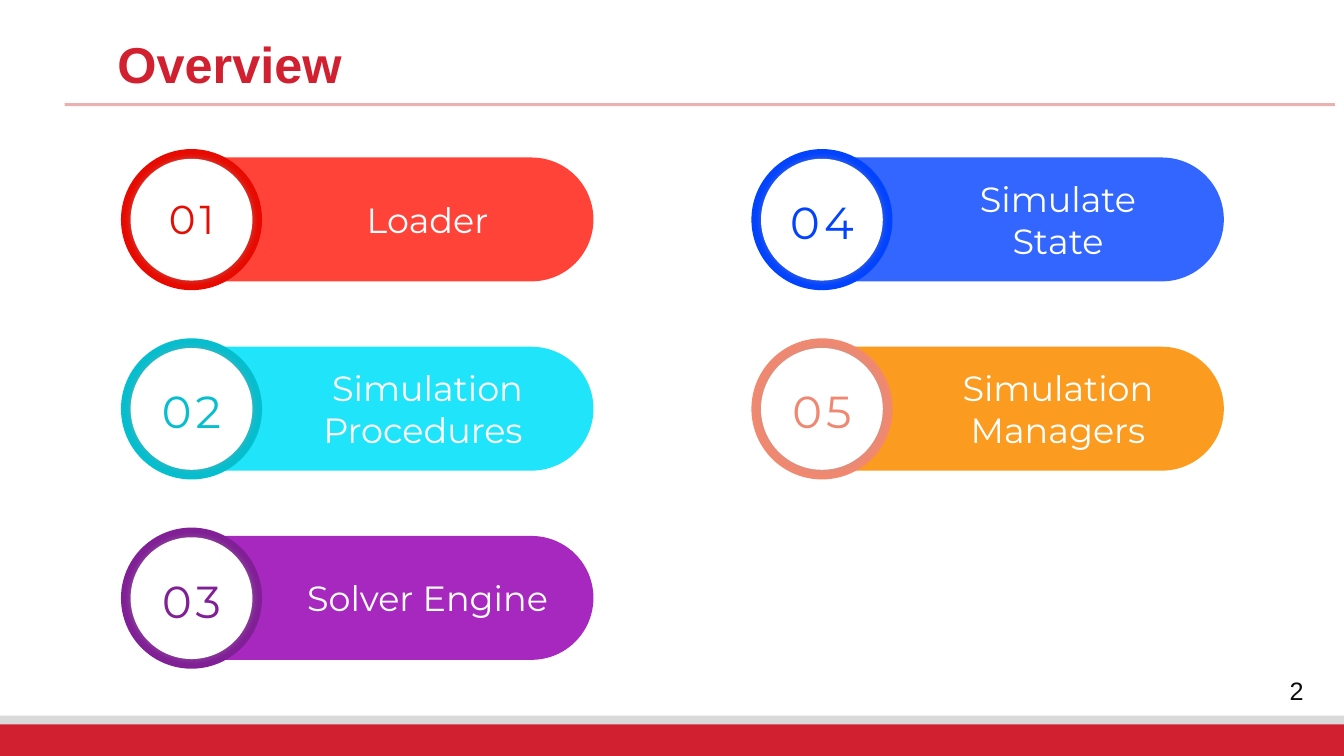
import pptx
import pptx.util
import pptx.dml.color
import pptx.enum.shapes
import pptx.enum.text
import pptx.oxml
import pptx.oxml.ns

Kind = pptx.enum.shapes.MSO_SHAPE
Align = pptx.enum.text.PP_ALIGN
Anchor = pptx.enum.text.MSO_ANCHOR

COLS, ROWS = 160, 90  # grid of square cells, 1/12 inch each
RED = "D1202F"
SHADOW = (
    '<a:effectLst %s><a:outerShdw blurRad="63500" dist="0" dir="0">'
    '<a:srgbClr val="A6A6A6"><a:alpha val="40000"/></a:srgbClr>'
    '</a:outerShdw></a:effectLst>' % pptx.oxml.ns.nsdecls("a"))


def tint(code):
    return pptx.dml.color.RGBColor.from_string(code)


def write(frame, text, size=25, color="FFFFFF", font="Montserrat", bold=False,
          align=Align.CENTER, line=None, space=None):
    """Fill a frame with one paragraph per line of text."""
    for i, part in enumerate(text.split("\n")):
        para = frame.paragraphs[0] if i == 0 else frame.add_paragraph()
        para.alignment = align
        if line:
            para.line_spacing = line
        run = para.add_run()
        run.text = part
        run.font.size = pptx.util.Pt(size)
        run.font.name = font
        run.font.bold = bold
        run.font.color.rgb = tint(color)
        if space:
            run.font._element.set("spc", str(space * 100))


class Deck:
    def __init__(self):
        self.show = pptx.Presentation()
        self.show.slide_width = pptx.util.Inches(13.33)
        self.show.slide_height = pptx.util.Inches(7.5)
        self.slide = self.show.slides.add_slide(self.show.slide_layouts[6])
        self.home = self.slide.shapes

    def grid(self, x, y):
        return (round(x * self.show.slide_width / COLS),
                round(y * self.show.slide_height / ROWS))

    def shape(self, kind, x, y, w, h, fill, glow=False):
        item = self.home.add_shape(kind, *self.grid(x, y), *self.grid(w, h))
        item.fill.solid()
        item.fill.fore_color.rgb = tint(fill)
        item.line.fill.background()
        if glow:
            item._element.spPr.append(pptx.oxml.parse_xml(SHADOW))
        else:
            item.shadow.inherit = False
        return item

    def text(self, x, y, w, h, words, anchor=Anchor.MIDDLE, foot=0.05, **style):
        item = self.home.add_textbox(*self.grid(x, y), *self.grid(w, h))
        frame = item.text_frame
        frame.word_wrap = True
        frame.vertical_anchor = anchor
        frame.margin_bottom = pptx.util.Inches(foot)
        write(frame, words, **style)

    def rule(self, x, y, end, color, width, alpha):
        item = self.home.add_connector(
            pptx.enum.shapes.MSO_CONNECTOR.STRAIGHT,
            *self.grid(x, y), *self.grid(end, y))
        item.line.color.rgb = tint(color)
        item.line.width = pptx.util.Pt(width)
        props = item._element.spPr
        shade = props.find(".//" + pptx.oxml.ns.qn("a:srgbClr"))
        shade.append(pptx.oxml.parse_xml(
            '<a:alpha %s val="%d"/>' % (pptx.oxml.ns.nsdecls("a"), alpha * 1000)))
        props.append(pptx.oxml.parse_xml(
            "<a:effectLst %s/>" % pptx.oxml.ns.nsdecls("a")))

    def pill(self, x, y, num, label, fill, ring, ink, size=32, line=None):
        """Grouped topic: rounded bar, ring with number, label."""
        self.home = self.slide.shapes.add_group_shape().shapes
        bar = self.shape(Kind.ROUNDED_RECTANGLE, x + 4.25, y + 1, 52, 14.75, fill)
        bar.adjustments[0] = 0.5
        self.shape(Kind.OVAL, x, y, 16.8, 16.8, ring)
        self.shape(Kind.OVAL, x + 1.15, y + 1.15, 14.5, 14.5, "FFFFFF", glow=True)
        self.text(x + 2.9, y + 4.4, 11, 7.9, num, foot=0, size=size,
                  color=ink, line=line, space=3)
        self.text(x + 16.8, y + 1, 39.4, 14.75, label)
        self.home = self.slide.shapes


def main():
    deck = Deck()

    # Footer bands, title rule and page number
    deck.shape(Kind.RECTANGLE, 0, 85.2, COLS, 4.8, "D9D9D9")
    deck.shape(Kind.RECTANGLE, 0, 86.25, COLS, 3.75, RED)
    deck.rule(7.7, 12.45, 158.9, "C00000", 2.25, alpha=31)
    deck.text(148.9, 79.8, 10.9, 4.7, "2", size=18, color="0D0D0D", font="Arial")

    # Title
    deck.text(12.8, 4.2, 74.6, 5.8, "Overview", anchor=Anchor.TOP, size=36,
              color=RED, font="Arial", bold=True, align=Align.LEFT, line=0.9)

    # Topics run down the first column, then the second
    topics = [
        ("Loader", "FF4338", "E80A00", "E60D03", 28.8, 0.9),
        ("Simulation Procedures ", "20E4F9", "05BECE", "05BECE"),
        ("Solver Engine", "A728BE", "811F96", "811F96"),
        ("Simulate\nState", "3366FE", "0243FE", "0343FD"),
        ("Simulation Managers", "FB9B1F", "F18870", "F08871"),
    ]
    for i, topic in enumerate(topics):
        col, row = divmod(i, 3)
        deck.pill(14.4 + 75.05 * col, 17.75 + 22.53 * row, f"{i + 1:02}", *topic)

    deck.show.save("out.pptx")


if __name__ == "__main__":
    main()
